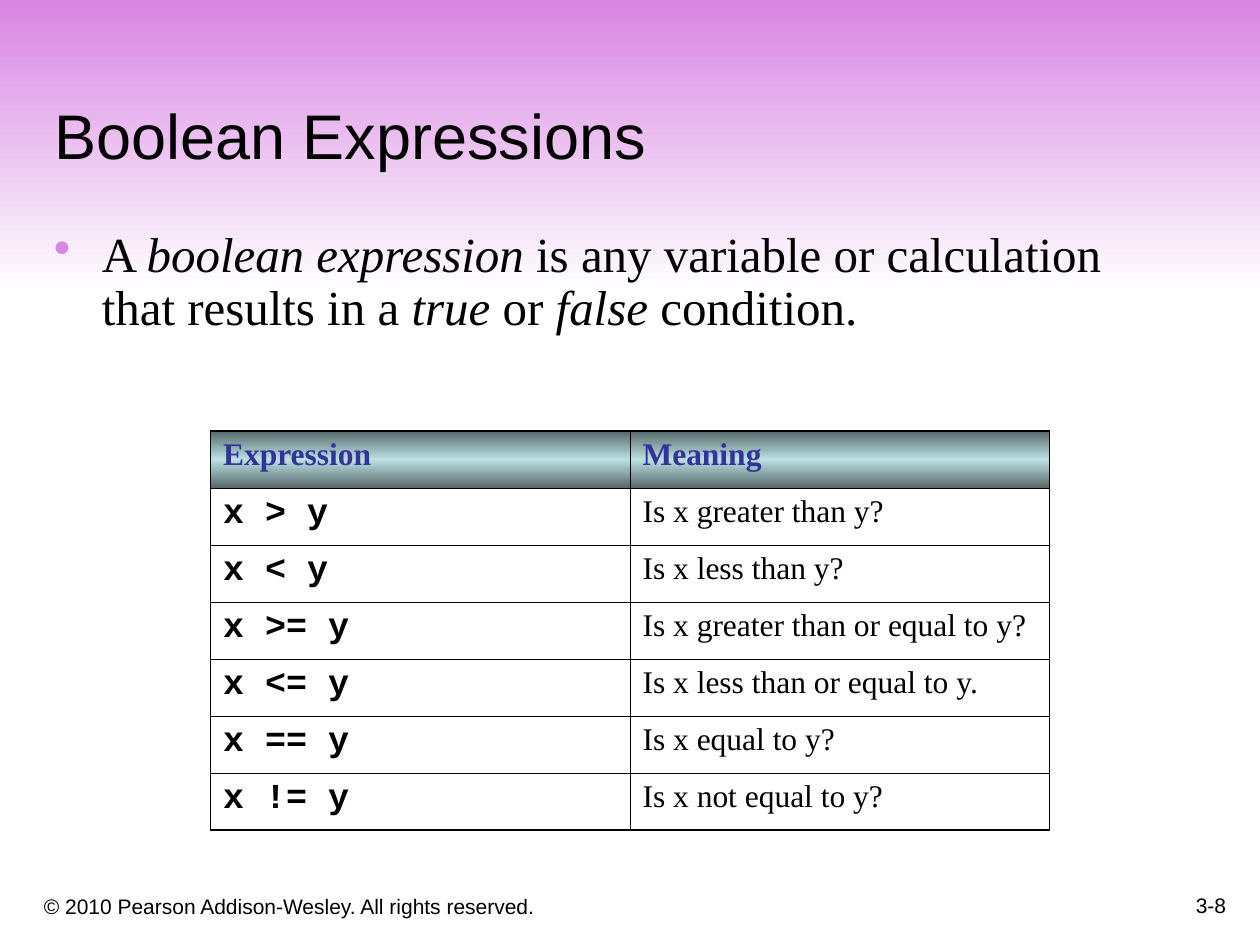
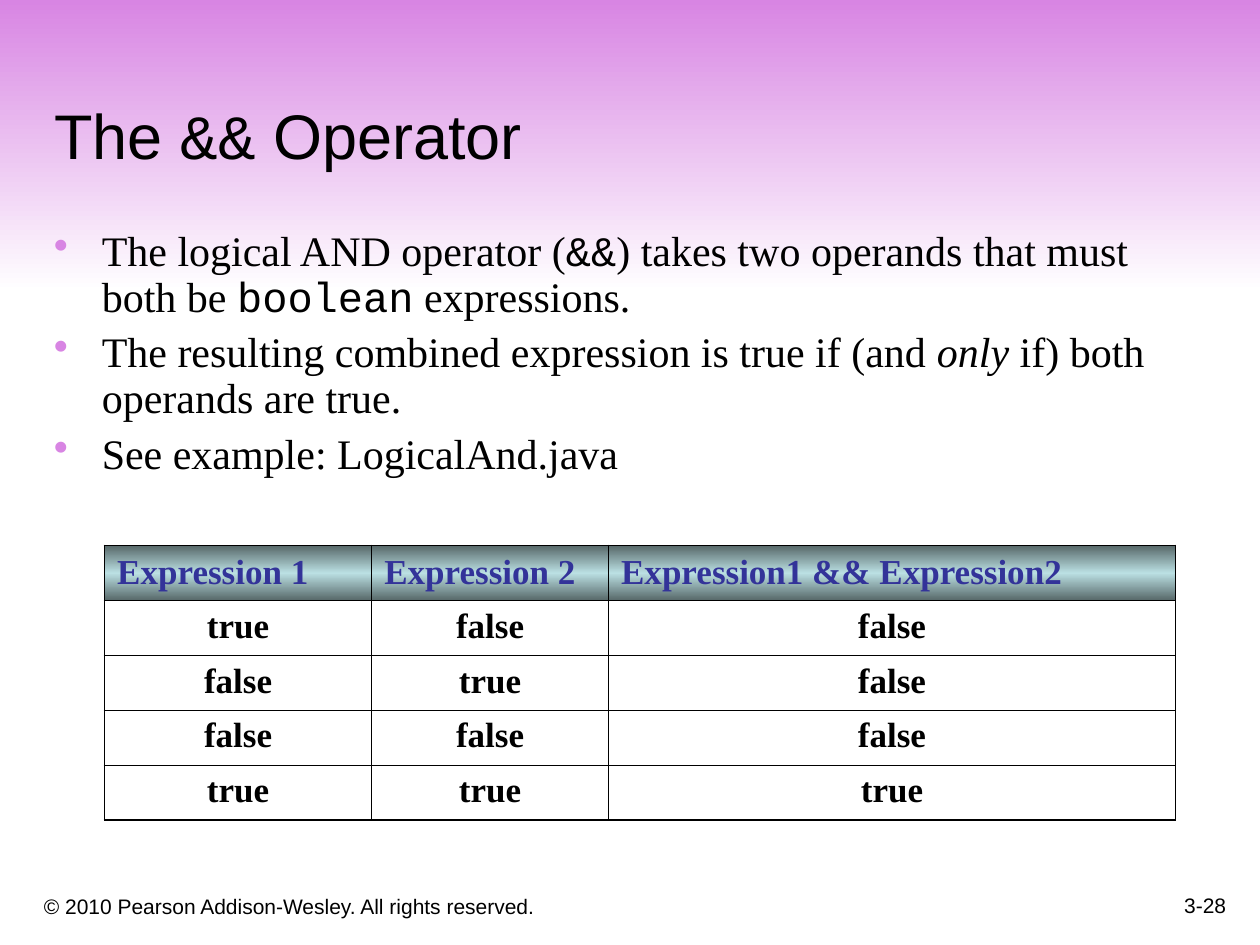
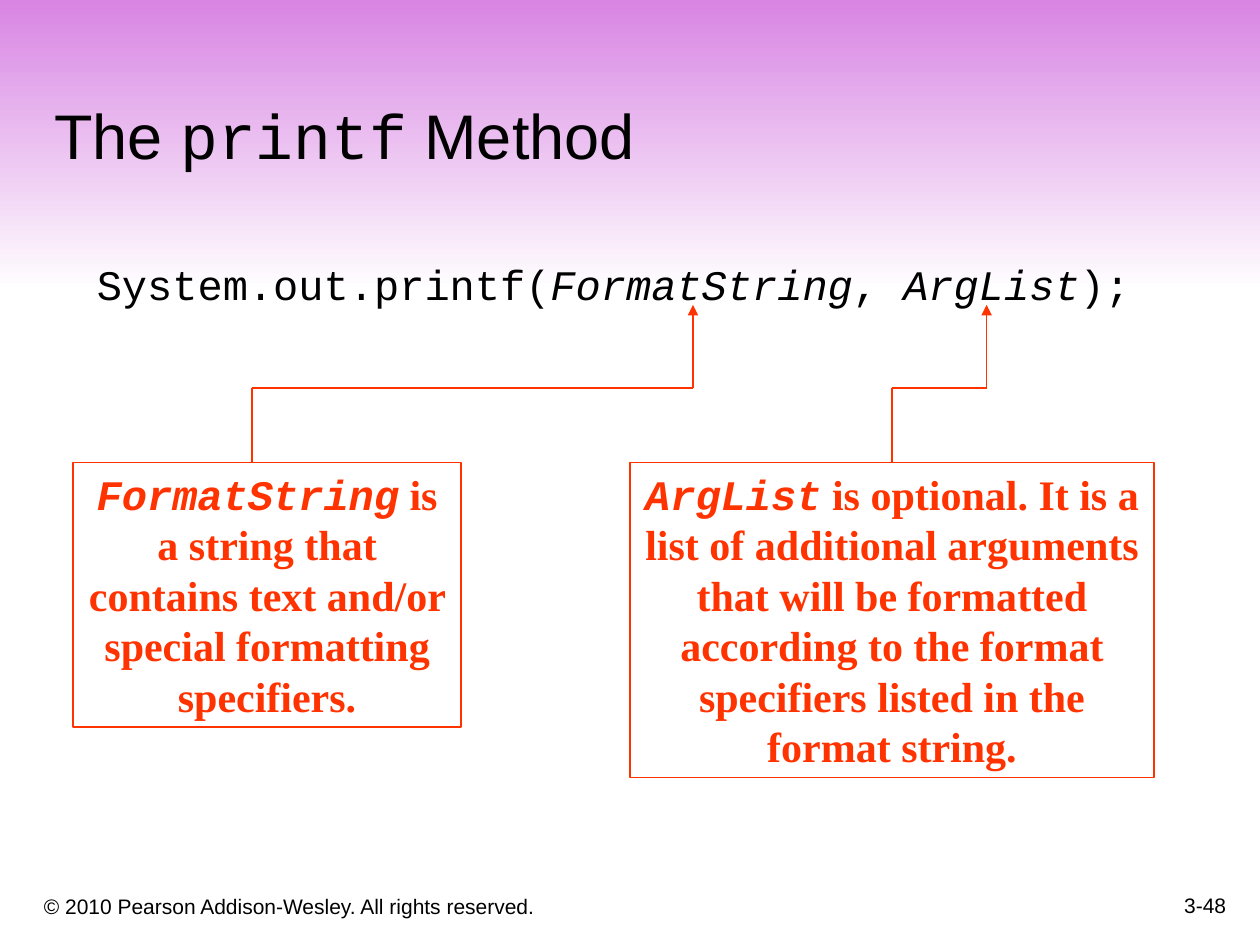
import copy

import pptx
import pptx.dml.color
import pptx.enum.shapes
import pptx.enum.text
import pptx.oxml
import pptx.oxml.ns
import pptx.util

Inches = pptx.util.Inches
Pt = pptx.util.Pt
qn = pptx.oxml.ns.qn
ALIGN = pptx.enum.text.PP_ALIGN
ANCHOR = pptx.enum.text.MSO_ANCHOR

SANS, SERIF, MONO = "Arial", "Times New Roman", "Courier New"
BLACK, WHITE, ORCHID, RED, NAVY = "000000", "FFFFFF", "D885E3", "FF3300", "333399"
BAND_STOPS = [(0, ORCHID), (1, WHITE)]
HEADER_STOPS = [(0, "576869"), (0.5, "BBE0E3"), (1, "576869")]
COPYRIGHT = "© 2010 Pearson Addison-Wesley. All rights reserved."
ITALIC = {"italic": True}
CODE = {"font": MONO}


def rgb(color):
    return pptx.dml.color.RGBColor.from_string(color)


def element(xml):
    """Build one DrawingML element, given without its namespace."""
    tag_end = min(xml.index(mark) for mark in " />" if mark in xml)
    return pptx.oxml.parse_xml(
        f'{xml[:tag_end]} xmlns="{pptx.oxml.ns.namespaces("a")["a"]}"{xml[tag_end:]}')


def gradient(fill, properties, stops):
    """Fill from top to bottom through the given stops."""
    fill.gradient()
    fill.gradient_angle = 270
    stop_list = properties.find(qn("a:gradFill")).find(qn("a:gsLst"))
    while len(stop_list) < len(stops):
        stop_list.append(copy.deepcopy(stop_list[0]))
    for stop, (position, color) in zip(fill.gradient_stops, stops):
        stop.color.rgb = rgb(color)
        stop.position = position


class Deck:
    def __init__(self):
        self.presentation = pptx.Presentation()
        self.presentation.slide_width = Inches(10)
        self.presentation.slide_height = Inches(7.5)
        self.slide = None

    def start(self, title, number):
        """Add a slide with its band, title and footer."""
        self.slide = self.presentation.slides.add_slide(self.presentation.slide_layouts[5])
        placeholder = self.slide.shapes.title
        self.place(placeholder, 0.33, 0.33, 9.42, 1.09)
        self.frame(placeholder, [title], 36, SANS, anchor=ANCHOR.BOTTOM)

        band = self.rectangle(0, 0, 10, 2.32)
        gradient(band.fill, band._element.spPr, BAND_STOPS)
        placeholder._element.addprevious(band._element)

        self.text(0.25, 6.92, 6.08, 0.42, [[COPYRIGHT]], 12, SANS, anchor=ANCHOR.BOTTOM)
        self.text(7.75, 6.83, 2.08, 0.5, [[number]], 12, SANS,
                  align=ALIGN.RIGHT, anchor=ANCHOR.BOTTOM)

    def place(self, shape, left, top, width, height):
        shape.left, shape.top = Inches(left), Inches(top)
        shape.width, shape.height = Inches(width), Inches(height)

    def add_runs(self, paragraph, runs, size, font, color=BLACK, bold=False, align=ALIGN.LEFT):
        """Add runs, each a string or a (string, changed style) pair."""
        paragraph.alignment = align
        for item in runs:
            words, style = (item, {}) if isinstance(item, str) else item
            run = paragraph.add_run()
            run.text = words
            run.font.name = style.get("font", font)
            run.font.size = Pt(size)
            run.font.bold = bold
            run.font.italic = style.get("italic", False)
            run.font.color.rgb = rgb(color)

    def frame(self, shape, paragraphs, size, font, anchor=ANCHOR.TOP, **style):
        frame = shape.text_frame
        frame.word_wrap = True
        frame.auto_size = pptx.enum.text.MSO_AUTO_SIZE.NONE
        frame.vertical_anchor = anchor
        for index, runs in enumerate(paragraphs):
            paragraph = frame.add_paragraph() if index else frame.paragraphs[0]
            self.add_runs(paragraph, runs, size, font, **style)
        return frame

    def text(self, left, top, width, height, paragraphs, size, font, **style):
        box = self.slide.shapes.add_textbox(
            Inches(left), Inches(top), Inches(width), Inches(height))
        return self.frame(box, paragraphs, size, font, **style)

    def bullets(self, height, paragraphs, size):
        frame = self.text(0.33, 1.78, 9.07, height, paragraphs, size, SERIF)
        frame.margin_right = 0
        for index, paragraph in enumerate(frame.paragraphs):
            properties = paragraph._p.get_or_add_pPr()
            properties.set("marL", str(Inches(0.38)))
            properties.set("indent", str(-Inches(0.38)))
            properties.append(element(f'<buClr><srgbClr val="{ORCHID}"/></buClr>'))
            properties.append(element('<buChar char="•"/>'))
            paragraph.line_spacing = 0.9
            paragraph.space_before = Pt(6 if index else 0)

    def rectangle(self, left, top, width, height):
        shape = self.slide.shapes.add_shape(
            pptx.enum.shapes.MSO_SHAPE.RECTANGLE,
            Inches(left), Inches(top), Inches(width), Inches(height))
        shape.shadow.inherit = False
        shape.line.fill.background()
        return shape

    def callout(self, left, width, height, runs):
        shape = self.rectangle(left, 3.67, width, height)
        shape.fill.background()
        shape.line.color.rgb = rgb(RED)
        shape.line.width = Pt(0.75)
        self.frame(shape, [runs], 24, SERIF, color=RED, bold=True, align=ALIGN.CENTER)
        return shape

    def line(self, start, end, arrow=False):
        connector = self.slide.shapes.add_connector(
            pptx.enum.shapes.MSO_CONNECTOR.STRAIGHT,
            *(Inches(length) for length in (*start, *end)))
        connector.line.color.rgb = rgb(RED)
        connector.line.width = Pt(0.75)
        properties = connector._element.spPr
        if arrow:
            properties.find(qn("a:ln")).append(element('<tailEnd type="triangle"/>'))
        properties.append(element("<effectLst/>"))
        return connector

    def route(self, start_x, end_x):
        """Lead from a callout up to its argument; return the first segment."""
        points = [(start_x, 3.67), (start_x, 3.08), (end_x, 3.08), (end_x, 2.42)]
        segments = [self.line(start, end, arrow=end == points[-1])
                    for start, end in zip(points, points[1:])]
        return segments[0]

    def borders(self, cell, heavy_sides):
        properties = cell._tc.get_or_add_tcPr()
        for index, side in enumerate("LRTB"):
            width = Pt(1.08 if side in heavy_sides else 0.45)
            properties.insert(index, element(
                f'<ln{side} w="{width}"><solidFill><srgbClr val="{BLACK}"/></solidFill></ln{side}>'))

    def table(self, left, top, height, widths, rows, header_size, columns,
              header_anchor=ANCHOR.TOP):
        """Add a grid with a gradient header; columns holds a text style each."""
        table = self.slide.shapes.add_table(
            len(rows), len(widths), Inches(left), Inches(top),
            Inches(sum(widths)), Inches(height)).table
        table.first_row = table.horz_banding = False
        for column, width in zip(table.columns, widths):
            column.width = Inches(width)
        header = dict(size=header_size, font=SERIF, color=NAVY, bold=True)
        for row_index, row in enumerate(rows):
            for column_index, words in enumerate(row):
                cell = table.cell(row_index, column_index)
                style = columns[column_index] if row_index else header
                self.add_runs(cell.text_frame.paragraphs[0], [words], **style)
                if row_index:
                    cell.fill.background()
                else:
                    cell.vertical_anchor = header_anchor
                    gradient(cell.fill, cell._tc.get_or_add_tcPr(), HEADER_STOPS)
                edges = {"L": column_index == 0, "R": column_index == len(widths) - 1,
                         "T": row_index == 0, "B": row_index == len(rows) - 1}
                self.borders(cell, [side for side, outer in edges.items() if outer])


def main():
    deck = Deck()

    # Boolean expressions
    deck.start(["Boolean Expressions"], "3-8")
    deck.bullets(1.33, [[
        "A ", ("boolean expression", ITALIC),
        " is any variable or calculation that results in a ",
        ("true", ITALIC), " or ", ("false", ITALIC), " condition."]], 28)
    comparisons = [
        ("Expression", "Meaning"),
        ("x > y", "Is x greater than y?"),
        ("x < y", "Is x less than y?"),
        ("x >= y", "Is x greater than or equal to y?"),
        ("x <= y", "Is x less than or equal to y."),
        ("x == y", "Is x equal to y?"),
        ("x != y", "Is x not equal to y?"),
    ]
    deck.table(1.67, 3.42, 3.17, [3.33, 3.33], comparisons, 18,
               [dict(size=20, font=MONO, bold=True), dict(size=18, font=SERIF)])

    # Logical AND
    deck.start(["The ", ("&&", CODE), " Operator"], "3-28")
    deck.bullets(2.42, [
        ["The logical AND operator (", ("&&", CODE),
         ") takes two operands that must both be ", ("boolean", CODE), " expressions."],
        ["The resulting combined expression is true if (and ", ("only", ITALIC),
         " if) both operands are true."],
        ["See example: LogicalAnd.java"],
    ], 24)
    truth_table = [
        ("Expression 1", "Expression 2", "Expression1 && Expression2"),
        ("true", "false", "false"),
        ("false", "true", "false"),
        ("false", "false", "false"),
        ("true", "true", "true"),
    ]
    truth_style = dict(size=20, font=SERIF, bold=True, align=ALIGN.CENTER)
    deck.table(0.83, 4.33, 2.18, [2.12, 1.88, 4.5], truth_table, 20,
               [truth_style] * 3, header_anchor=ANCHOR.MIDDLE)

    # Arguments of printf
    deck.start(["The ", ("printf", CODE), " Method"], "3-48")
    deck.text(0.67, 2, 8.5, 1.1, [[
        "System.out.printf(", ("FormatString", ITALIC), ", ",
        ("ArgList", ITALIC), ");"]], 24, MONO)
    code_term = {**CODE, **ITALIC}
    deck.callout(0.58, 3.08, 2.1, [
        ("FormatString", code_term),
        " is a string that contains text and/or special formatting specifiers."])
    argument_list = deck.callout(5, 4.16, 2.5, [
        ("ArgList", code_term),
        " is optional. It is a list of additional arguments that will be formatted "
        "according to the format specifiers listed in the format string."])
    deck.route(2, 5.5)
    deck.route(7.08, 7.83).begin_connect(argument_list, 0)

    deck.presentation.save("out.pptx")


if __name__ == "__main__":
    main()
